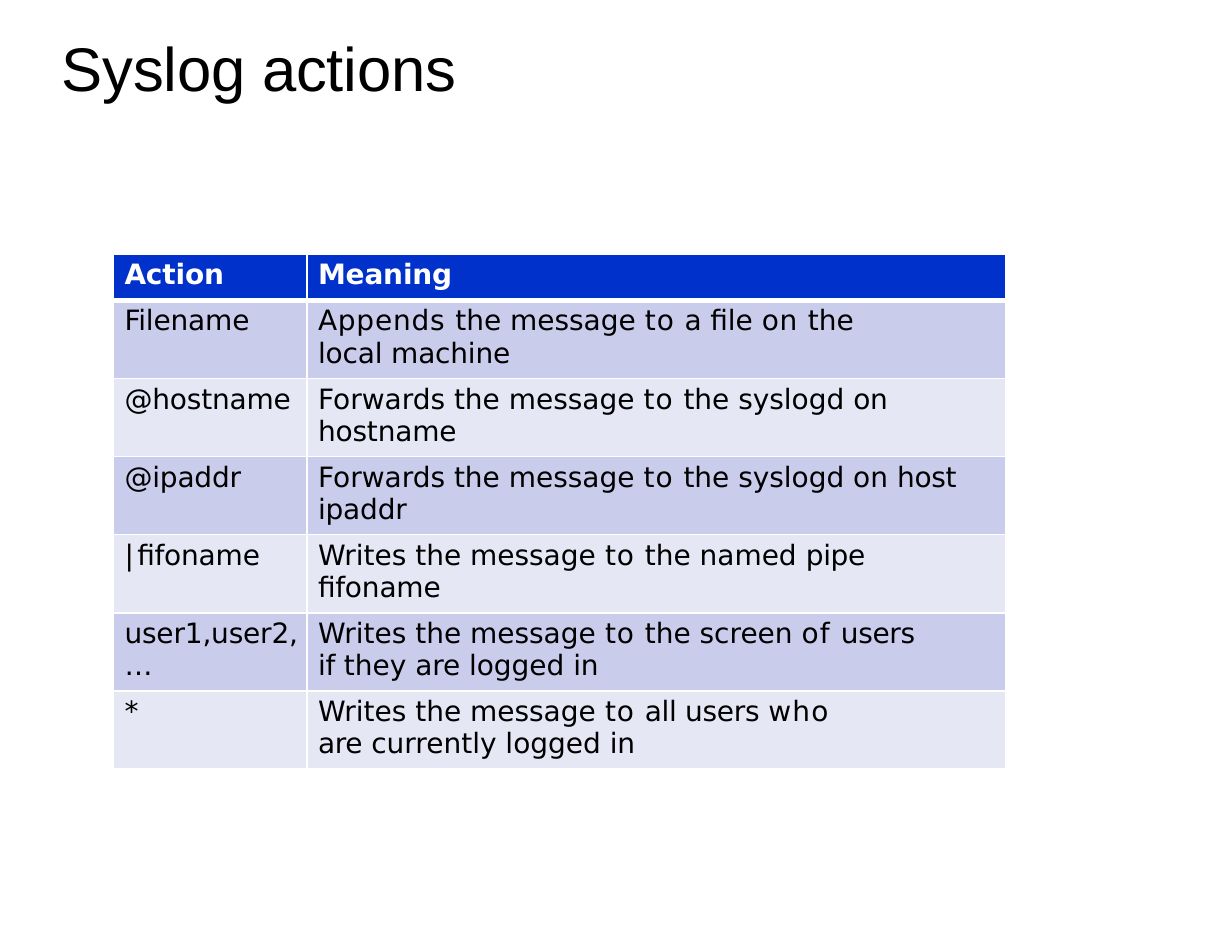
from pptx import Presentation, util as u
from pptx.dml.color import RGBColor
from pptx.enum import text
from pptx.oxml import parse_xml
from pptx.oxml.ns import nsdecls

HEADS = ("Action", "Meaning")
ROWS = [
    ([[("Filename", -0.1)]],
     [("Appends ", 0.5), ("the message ", 0), ("to ", 0.6), ("a ", -0.3), ("file ", 0),
      ("on ", 0.5), ("the ", 0), ("local machine", -0.1)], 1),
    ([[("@hostname", -0.1)]],
     [("Forwards the message ", 0), ("to ", 0.6), ("the syslogd ", 0), ("on ", -0.2),
      ("hostname", -0.1)], 0.5),
    ([[("@ipaddr", -0.1)]],
     [("Forwards the message ", 0), ("to ", 0.6), ("the syslogd on ", 0), ("host ", -0.2),
      ("ipaddr", -0.1)], 0),
    ([[("| ", -3.6), ("fifoname", -0.1)]],
     [("Writes the message ", 0), ("to ", 0.6), ("the named ", 0), ("pipe ", -0.2),
      ("fifoname", -0.1)], 0.5),
    ([[("user1,user2,", -0.1)], [("…", -0.5)]],
     [("Writes the message ", 0), ("to ", 0.6), ("the screen ", 0), ("of ", 0.7),
      ("users if ", -0.2), ("they ", 0), ("are ", -0.1), ("logged ", 0), ("in", -0.2)], 0.65),
    ([[("*", -4.3)]],
     [("Writes the message ", 0), ("to ", 0.6), ("all users ", -0.2), ("who ", 0.8),
      ("are ", -0.2), ("currently logged ", 0), ("in", -0.2)], 1.3),
]


def tint(code):
    """Turn a hex string into a colour."""
    return RGBColor.from_string(code)


def write(frame, paras, font="DejaVu Sans", size=18, color="000000", bold=False, gap=2.7):
    """Fill a text frame with paragraphs of (text, letter spacing) runs."""
    for i, parts in enumerate(paras):
        para = frame.add_paragraph() if i else frame.paragraphs[0]
        para.alignment = text.PP_ALIGN.LEFT
        para.space_before = u.Pt(0 if i else gap)
        for words, track in parts:
            run = para.add_run()
            run.text = words
            run.font.name, run.font.size, run.font.bold = font, u.Pt(size), bold
            run.font.color.rgb = tint(color)
            run._r.get_or_add_rPr().set("spc", str(round(track * 100)))


def edge(cell, side, width, color="FFFFFF"):
    """Add one border line to a cell, before its fill."""
    props = cell._tc.get_or_add_tcPr()
    line = parse_xml(
        f'<a:ln{side} {nsdecls("a")} w="{u.Pt(width)}"><a:solidFill>'
        f'<a:srgbClr val="{color}"/></a:solidFill></a:ln{side}>')
    props.insert("LRTB".index(side), line)


class Deck:
    """Hold the style and the current slide."""

    def __init__(self, wide=11, high=8.5):
        """Start a presentation with one blank slide."""
        self.prs = Presentation()
        self.prs.slide_width, self.prs.slide_height = u.Inches(wide), u.Inches(high)
        self.slide = self.prs.slides.add_slide(self.prs.slide_layouts[6])
        self.head, self.bands = "0032CB", ("CACCEB", "E6E7F5")

    def place(self, x, y, w, h):
        """Turn shares of the slide into lengths."""
        wide, high = self.prs.slide_width, self.prs.slide_height
        return [round(n) for n in (x * wide, y * high, w * wide, h * high)]

    def title(self, words, *box):
        """Add the slide's heading."""
        frame = self.slide.shapes.add_textbox(*self.place(*box)).text_frame
        frame.word_wrap = True
        frame.vertical_anchor = text.MSO_ANCHOR.MIDDLE
        frame.margin_left = frame.margin_right = frame.margin_bottom = 0
        frame.margin_top = u.Inches(0.01)
        write(frame, [[(words, -0.1)]], font="Arial", size=39.6, gap=1)

    def cell(self, cell, paras, row, right=0):
        """Style one table cell and write its text."""
        top = row == 0
        cell.margin_left, cell.margin_right = u.Inches(0.1), u.Inches(right)
        cell.margin_top, cell.margin_bottom = u.Inches(0.04), 0
        cell.fill.solid()
        cell.fill.fore_color.rgb = tint(self.head if top else self.bands[(row - 1) % 2])
        for side, width in zip("LRTB", (1, 1, 3 if row == 1 else 1, 3 if top else 1)):
            edge(cell, side, width)
        write(cell.text_frame, paras, color="FFFFFF" if top else "000000", bold=top)

    def table(self, heads, rows, split, first, *box):
        """Add a table with a header row and equal body rows."""
        x, y, w, h = self.place(*box)
        grid = self.slide.shapes.add_table(len(rows) + 1, 2, x, y, w, h).table
        grid.horz_banding = False
        for col, share in zip(grid.columns, (split, 1 - split)):
            col.width = round(w * share)
        for i, row in enumerate(grid.rows):
            row.height = round(h * (1 - first) / len(rows) if i else h * first)
        for j, head in enumerate(heads):
            self.cell(grid.cell(0, j), [[(head, -0.1)]], 0)
        for i, (action, sense, right) in enumerate(rows, 1):
            self.cell(grid.cell(i, 0), action, i)
            self.cell(grid.cell(i, 1), [sense], i, right)


def main():
    """Build the slide and save it."""
    deck = Deck()
    deck.title("Syslog actions", 0.05, 0.03, 0.9, 0.08)
    deck.table(HEADS, ROWS, 0.217, 0.09, 0.092, 0.267, 0.724, 0.541)
    deck.prs.save("out.pptx")


if __name__ == "__main__":
    main()
